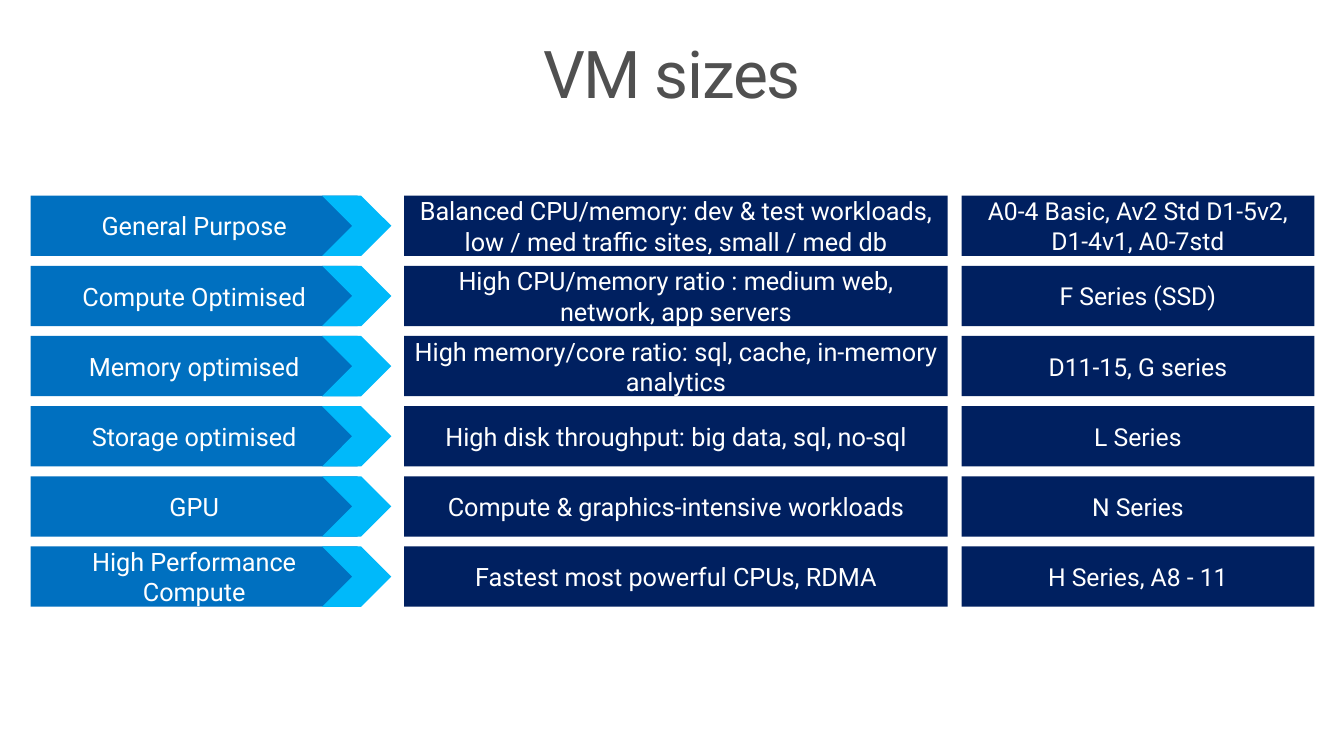
import pptx
import pptx.dml.color
import pptx.enum.shapes
import pptx.enum.text
import pptx.util

FONT = "Roboto"
WHITE, GREY = "FFFFFF", "505050"
BLUE, CYAN, NAVY = "0070C0", "00B9FA", "002060"

# Grid in inches: (left, width) of each column, then the rows
LABEL, ARROW, USE, SERIES = (0.31, 3.31), (3.26, 0.7), (4.09, 5.5), (9.73, 3.57)
FIRST_ROW, ROW_STEP, ROW_HEIGHT = 1.98, 0.71, 0.61

VM_SIZES = [
    ("General Purpose",
     "Balanced CPU/memory: dev & test workloads, low / med traffic sites, small / med db",
     "A0-4 Basic, Av2 Std D1-5v2, D1-4v1, A0-7std"),
    ("Compute Optimised",
     "High CPU/memory ratio : medium web, network, app servers",
     "F Series (SSD)"),
    ("Memory optimised",
     "High memory/core ratio: sql, cache, in-memory analytics",
     "D11-15, G series"),
    ("Storage optimised",
     "High disk throughput: big data, sql, no-sql",
     "L Series"),
    ("GPU",
     "Compute & graphics-intensive workloads",
     "N Series"),
    ("High Performance Compute",
     "Fastest most powerful CPUs, RDMA",
     "H Series, A8 - 11"),
]


def inches(value):
    return pptx.util.Inches(value)


def color(value):
    return pptx.dml.color.RGBColor.from_string(value)


def write(box, text, size, ink):
    """Put one centred run of text into a box."""
    box.text_frame.word_wrap = True
    para = box.text_frame.paragraphs[0]
    para.alignment = pptx.enum.text.PP_ALIGN.CENTER
    span = para.add_run()
    span.text = text
    span.font.name = FONT
    span.font.size = pptx.util.Pt(size)
    span.font.color.rgb = color(ink)
    return para, span


def add_title(page, text):
    box = page.shapes.add_textbox(inches(0.3), inches(0.32), inches(13), inches(1))
    para, span = write(box, text, 48, GREY)
    para.line_spacing = 0.9
    frame = box.text_frame
    frame.margin_left = frame.margin_right = inches(0.16)
    frame.margin_top = frame.margin_bottom = inches(0.1)
    # Letter spacing, in hundredths of a point
    span.font._element.set("spc", "-100")


def add_block(page, kind, column, row, fill):
    left, width = column
    top = FIRST_ROW + row * ROW_STEP
    block = page.shapes.add_shape(
        kind, inches(left), inches(top), inches(width), inches(ROW_HEIGHT))
    block.shadow.inherit = False
    block.fill.solid()
    block.fill.fore_color.rgb = color(fill)
    block.line.fill.background()
    return block


def add_cell(page, column, row, fill, text, size):
    cell = add_block(page, pptx.enum.shapes.MSO_SHAPE.RECTANGLE, column, row, fill)
    cell.text_frame.vertical_anchor = pptx.enum.text.MSO_ANCHOR.MIDDLE
    write(cell, text, size, WHITE)


def main():
    deck = pptx.Presentation()
    deck.slide_width, deck.slide_height = inches(13.6), inches(7.65)
    page = deck.slides.add_slide(deck.slide_layouts[6])

    add_title(page, "VM sizes")

    # One row per family: label, arrow, typical use, series
    for row, (family, use, series) in enumerate(VM_SIZES):
        add_cell(page, LABEL, row, BLUE, family, 18.4)
        add_block(page, pptx.enum.shapes.MSO_SHAPE.CHEVRON, ARROW, row, CYAN)
        add_cell(page, USE, row, NAVY, use, 18.4)
        add_cell(page, SERIES, row, NAVY, series, 18)

    deck.save("out.pptx")


if __name__ == "__main__":
    main()
